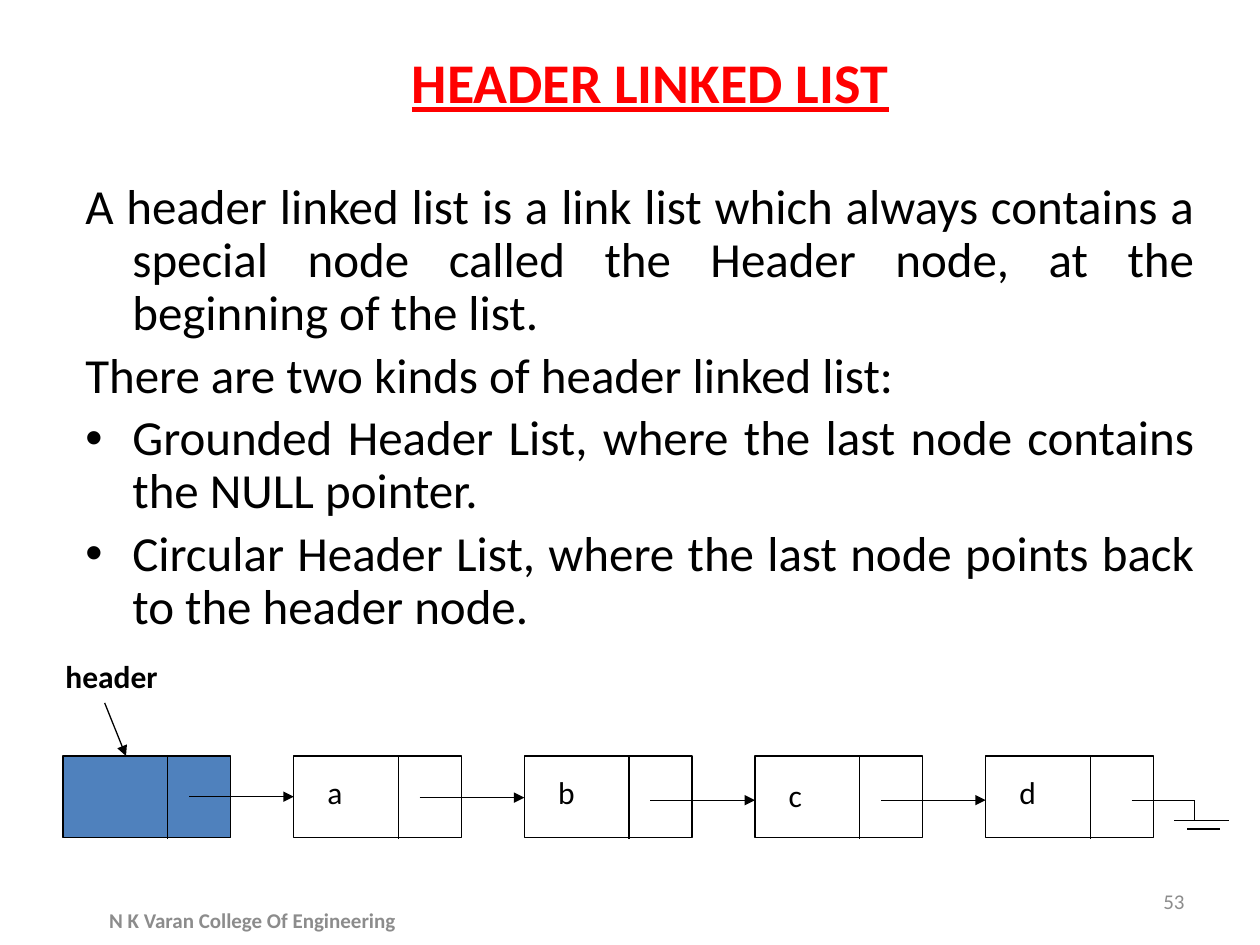
"""Build the slide on header linked lists."""
from dataclasses import dataclass, field

from pptx import Presentation
from pptx.dml.color import RGBColor as Rgb
from pptx.enum.shapes import MSO_CONNECTOR as Conn, MSO_SHAPE as Form
from pptx.enum.text import MSO_ANCHOR as Anchor, PP_ALIGN as Align
from pptx.oxml.ns import qn
from pptx.util import Cm, Pt

BLACK, WHITE, BLUE, RED, GRAY = "000000", "FFFFFF", "4F81BD", "FF0000", "8C8C8C"
LEFT, TOP, WIDE, HIGH, PITCH = 1.27, 15.24, 3.38, 1.65, 4.65


@dataclass
class Label:
    text: str
    box: tuple[float, float, float, float]
    size: int = 18
    color: str = BLACK
    font: dict = field(default_factory=dict)
    align: Align = Align.LEFT
    anchor: Anchor = Anchor.TOP


@dataclass
class Node:
    text: str
    link: float
    fill: str = WHITE
    drop: float = 0


@dataclass
class Line:
    start: tuple[float, float]
    end: tuple[float, float]
    arrow: bool = False


def paint(part, color: str) -> None:
    part.rgb = Rgb.from_string(color)


def style(run, size: int, color: str, **extra) -> None:
    values = {"name": "Calibri", "size": Pt(size), **extra}
    for key, value in values.items():
        setattr(run.font, key, value)
    paint(run.font.color, color)


def add_box(slide, box: tuple, anchor: Anchor = Anchor.TOP):
    frame = slide.shapes.add_textbox(*map(Cm, box)).text_frame
    frame.word_wrap = True
    frame.vertical_anchor = anchor
    return frame


def add_label(slide, item: Label) -> None:
    para = add_box(slide, item.box, item.anchor).paragraphs[0]
    para.alignment = item.align
    run = para.add_run()
    run.text = item.text
    style(run, item.size, item.color, **item.font)


def add_line(slide, item: Line) -> None:
    line = slide.shapes.add_connector(
        Conn.STRAIGHT, *map(Cm, item.start + item.end))
    line.line.width = Pt(0.75)
    paint(line.line.color, BLACK)
    props = line._element.spPr
    if item.arrow:
        tail = props.find(qn("a:ln")).makeelement(qn("a:tailEnd"), {"type": "triangle"})
        props.find(qn("a:ln")).append(tail)
    props.append(props.makeelement(qn("a:effectLst"), {}))


def add_node(slide, item: Node, left: float, last: bool) -> None:
    rect = slide.shapes.add_shape(
        Form.RECTANGLE, *map(Cm, (left, TOP, WIDE, HIGH)))
    rect.shadow.inherit = False
    rect.fill.solid()
    paint(rect.fill.fore_color, item.fill)
    rect.line.width = Pt(0.75)
    paint(rect.line.color, BLACK)
    split = left + 2.11
    add_line(slide, Line((split, TOP + 0.03), (split, TOP + 1.68)))
    if item.text:
        add_label(slide, Label(item.text, (left + 0.43, 15.46 + item.drop, 1.68, 1.24)))
    if not last:
        add_line(slide, Line((left + 2.54, item.link), (left + PITCH, item.link), True))


def add_body(slide, items: list[tuple[str, bool]]) -> None:
    frame = add_box(slide, (1.47, 3.55, 22.86, 11.2))
    for index, (text, bullet) in enumerate(items):
        para = frame.paragraphs[0] if index == 0 else frame.add_paragraph()
        values = {"alignment": Align.JUSTIFY, "line_spacing": 0.9,
                  "space_before": Pt(5.6 if index else 0)}
        for key, value in values.items():
            setattr(para, key, value)
        run = para.add_run()
        run.text = text
        style(run, 28, BLACK)
        props = para._p.get_or_add_pPr()
        props.set("marL", str(Cm(0.95)))
        props.set("indent", str(Cm(-0.95)))
        if bullet:
            props.append(props.makeelement(qn("a:buFont"), {"typeface": "Arial"}))
            props.append(props.makeelement(qn("a:buChar"), {"char": "•"}))


BODY = [
    ("A header linked list is a link list which always contains a special node "
     "called the Header node, at the beginning of the list.", False),
    ("There are two kinds of header linked list:", False),
    ("Grounded Header List, where the last node contains the NULL pointer.", True),
    ("Circular Header List, where the last node points back to the header node.", True),
]
NODES = [Node("", 16.06, BLUE), Node("a", 16.08), Node("b", 16.13),
         Node("c", 16.13, drop=0.06), Node("d", 16.13)]
LINES = [
    Line((2.11, 14.17), (2.54, TOP), True),
    Line((22.81, 16.13), (24.08, 16.13)),
    Line((24.08, 16.13), (24.08, 16.54)),
    Line((23.67, 16.54), (24.77, 16.54)),
    Line((23.93, 16.71), (24.59, 16.71)),
]
LABELS = [
    Label("HEADER LINKED LIST", (8.05, 0.84, 10.21, 1.63), 32, RED,
          {"bold": True, "underline": True}),
    Label("header", (1.07, 13.13, 3.38, 1.02), font={"bold": True}),
    Label("53", (18.21, 17.65, 5.92, 1.02), 12, GRAY,
          align=Align.RIGHT, anchor=Anchor.MIDDLE),
    Label("N K Varan College Of Engineering", (1.7, 18.03, 6.78, 1.02), 12, GRAY,
          {"bold": True}, Align.CENTER, Anchor.MIDDLE),
]

deck = Presentation()
deck.slide_width, deck.slide_height = Cm(25.4), Cm(19.05)
slide = deck.slides.add_slide(deck.slide_layouts[6])
add_body(slide, BODY)
for index, node in enumerate(NODES):
    add_node(slide, node, LEFT + index * PITCH, index == len(NODES) - 1)
for line in LINES:
    add_line(slide, line)
for label in LABELS:
    add_label(slide, label)
deck.save("out.pptx")
